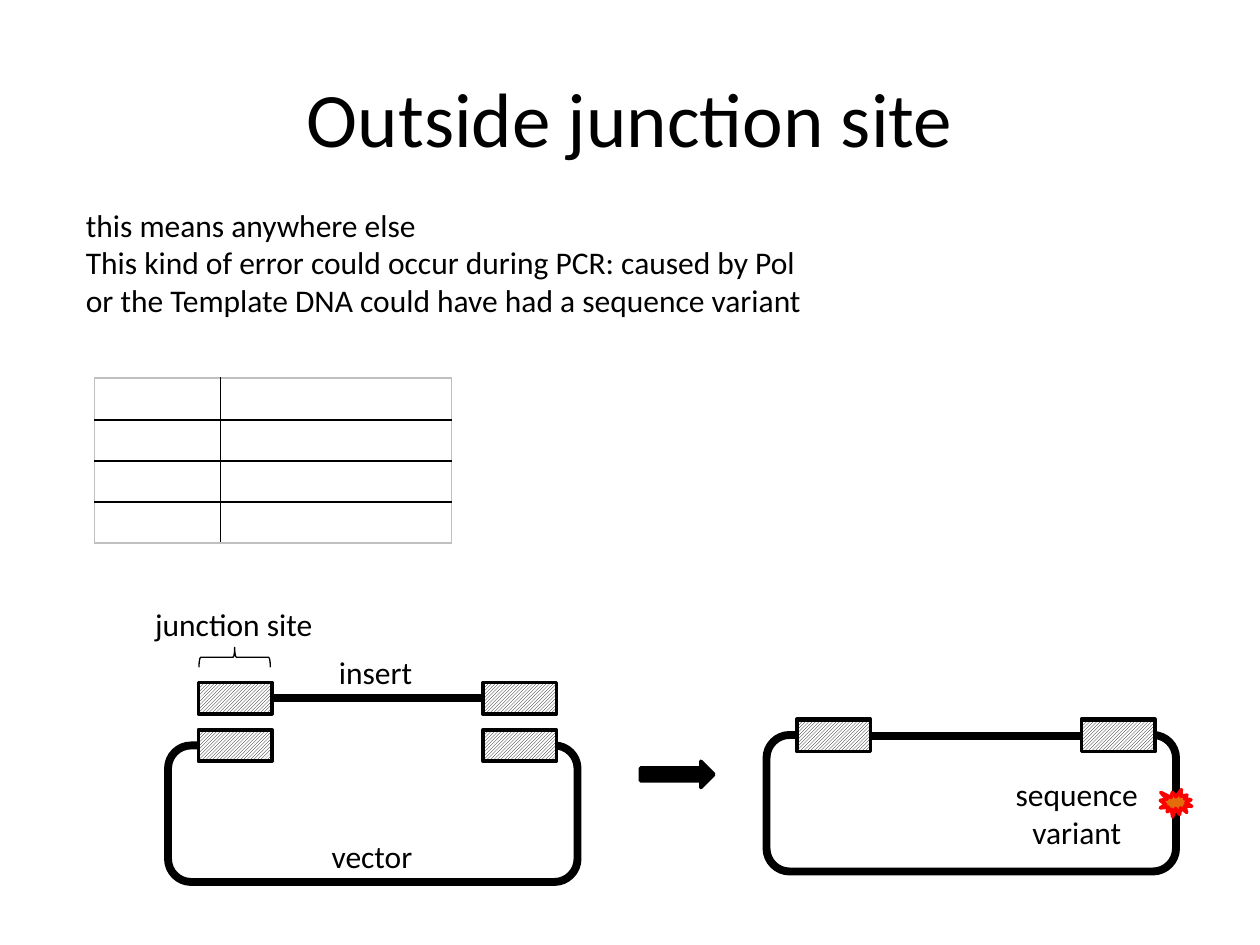
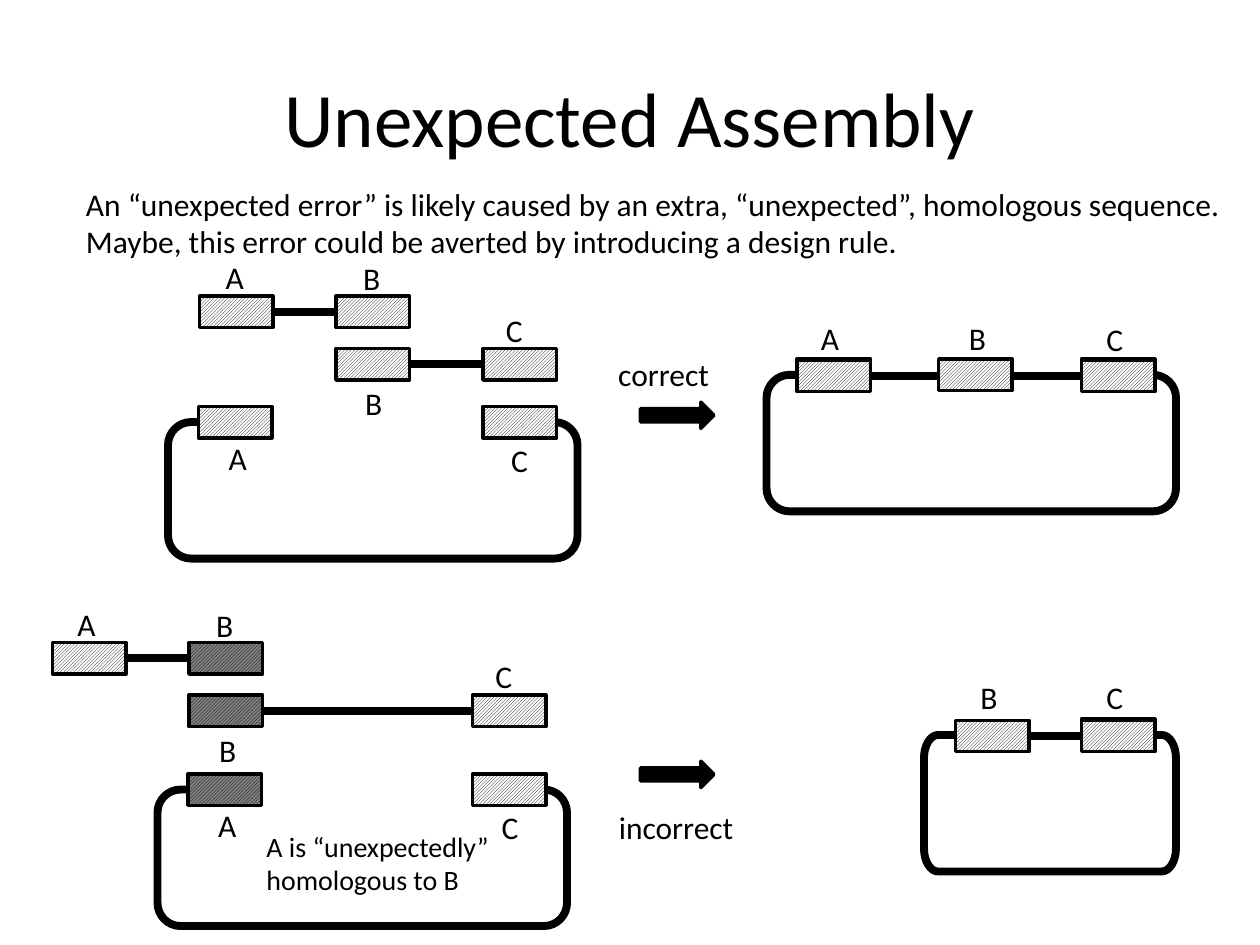
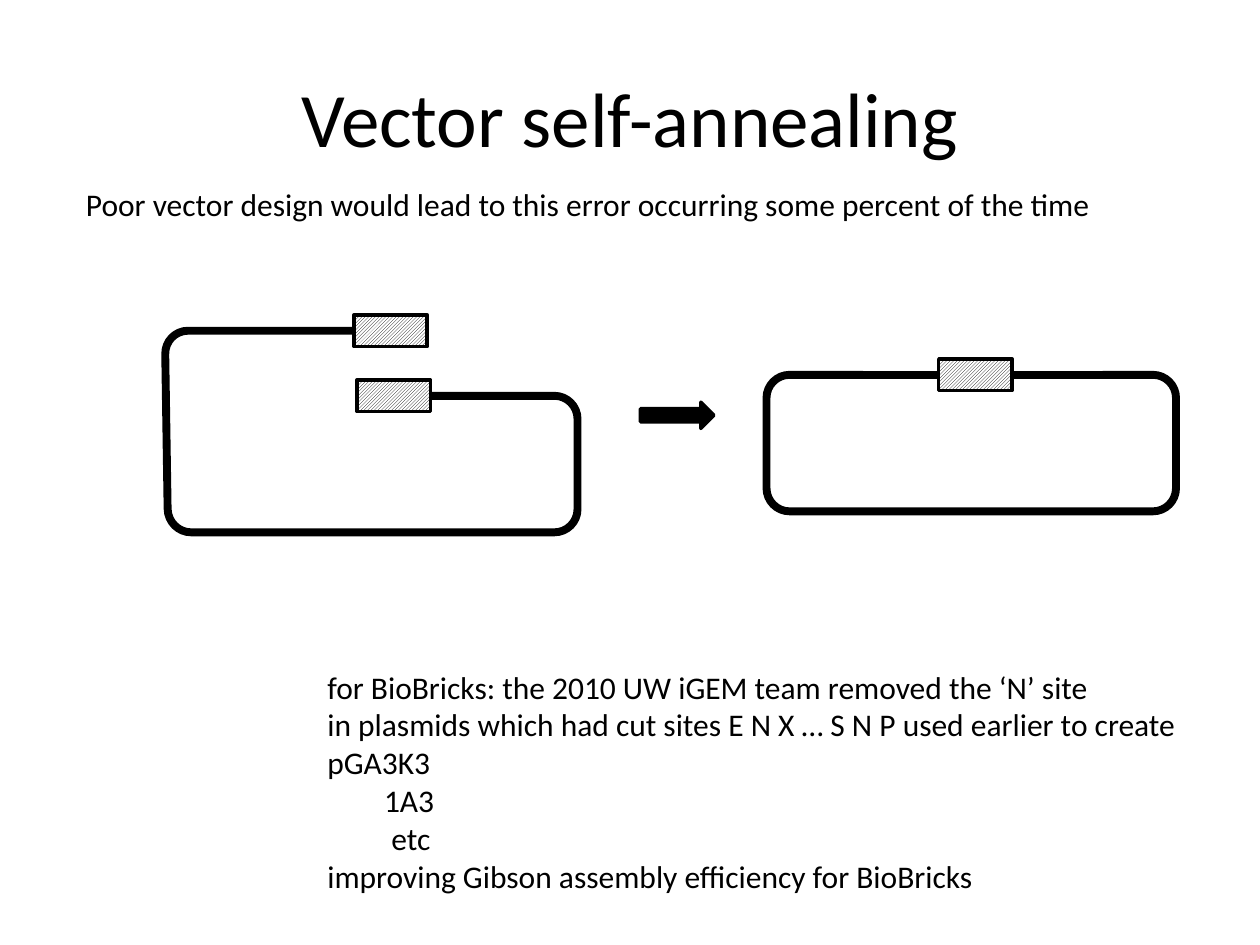
import math
from dataclasses import dataclass
from typing import Optional, Sequence

import lxml.etree
import pptx
import pptx.dml.color
import pptx.enum.dml
import pptx.enum.shapes
import pptx.enum.text
import pptx.oxml.ns
import pptx.slide
import pptx.util

PX_PER_INCH = 120
EMU_PER_PX = 914400 // PX_PER_INCH
TITLE_ONLY = 5
SITE_WIDTH, SITE_HEIGHT = 70, 30
CORNER_RADIUS = 22
ARC_PULL = 0.55  # how far Bézier handles reach towards the corner

Point = tuple[float, float]
Shapes = pptx.enum.shapes.MSO_SHAPE
Align = pptx.enum.text.PP_ALIGN


@dataclass(frozen=True)
class Theme:
    font: str = "Calibri"
    ink: str = "000000"
    paper: str = "FFFFFF"
    shaded: str = "808080"
    table_edge: str = "C0C0C0"
    variant_fill: str = "E46C0A"
    variant_line: str = "FF0000"
    title_size: int = 44
    body_size: int = 18
    note_size: int = 16
    strand_line: float = 4.5
    outline: float = 2
    thin_line: float = 0.75
    table_line: float = 1


@dataclass(frozen=True)
class Plasmid:
    """A rounded ring, open at the top where its sites sit."""
    left: int
    top: int
    width: int = 390
    height: int = 130


@dataclass(frozen=True)
class Strand:
    """Homologous sites on one level, joined by DNA or standing apart."""
    sites: tuple[int, ...]
    top: int
    joined: bool = True
    shaded: tuple[int, ...] = ()


@dataclass(frozen=True)
class Label:
    text: str
    left: int
    top: int
    width: int = 41
    align: Align = Align.LEFT


THEME = Theme()


def px(length: float) -> pptx.util.Emu:
    return pptx.util.Emu(round(length * EMU_PER_PX))


def rgb(colour: str) -> pptx.dml.color.RGBColor:
    return pptx.dml.color.RGBColor.from_string(colour)


def add_text(slide: pptx.slide.Slide, lines: Sequence[str], left: int, top: int, width: int, *,
             size: int = THEME.body_size, align: Align = Align.LEFT, wrap: bool = False,
             height: Optional[int] = None, indents: Optional[dict[int, int]] = None) -> None:
    """Add a text box; indents maps a line number to its left indent."""
    height = height or 12 + 36 * len(lines)
    frame = slide.shapes.add_textbox(px(left), px(top), px(width), px(height)).text_frame
    frame.word_wrap = wrap
    frame.auto_size = pptx.enum.text.MSO_AUTO_SIZE.SHAPE_TO_FIT_TEXT
    frame.text = "\n".join(lines)
    for number, paragraph in enumerate(frame.paragraphs):
        paragraph.alignment = align
        format_font(paragraph.runs[0].font, size)
        if indents and number in indents:
            paragraph._p.get_or_add_pPr().set("marL", str(px(indents[number])))


def format_font(font, size: int) -> None:
    font.name = THEME.font
    font.size = pptx.util.Pt(size)
    font.color.rgb = rgb(THEME.ink)


def format_line(line, width: float, colour: str = THEME.ink) -> None:
    line.width = pptx.util.Pt(width)
    line.color.rgb = rgb(colour)


def add_outlined(slide: pptx.slide.Slide, kind: Shapes, left: int, top: int, width: int,
                 height: int, *, fill: Optional[str] = None, line: str = THEME.ink,
                 line_width: float = THEME.outline):
    shape = slide.shapes.add_shape(kind, px(left), px(top), px(width), px(height))
    shape.shadow.inherit = False
    format_line(shape.line, line_width, line)
    if fill:
        shape.fill.solid()
        shape.fill.fore_color.rgb = rgb(fill)
    else:
        shape.fill.background()
    return shape


def add_site(slide: pptx.slide.Slide, left: int, top: int, shaded: bool) -> None:
    site = add_outlined(slide, Shapes.RECTANGLE, left, top, SITE_WIDTH, SITE_HEIGHT)
    site.fill.patterned()
    site.fill.pattern = pptx.enum.dml.MSO_PATTERN.LIGHT_UPWARD_DIAGONAL
    site.fill.fore_color.rgb = rgb(THEME.ink)
    site.fill.back_color.rgb = rgb(THEME.shaded if shaded else THEME.paper)


def add_dna(slide: pptx.slide.Slide, start: int, end: int, y: int) -> None:
    dna = slide.shapes.add_connector(
        pptx.enum.shapes.MSO_CONNECTOR.STRAIGHT, px(start), px(y), px(end), px(y))
    format_line(dna.line, THEME.strand_line)
    lxml.etree.SubElement(dna._element.spPr, pptx.oxml.ns.qn("a:effectLst"))


def add_strand(slide: pptx.slide.Slide, strand: Strand) -> None:
    if strand.joined:
        for start, end in zip(strand.sites, strand.sites[1:]):
            add_dna(slide, start + SITE_WIDTH, end, strand.top + SITE_HEIGHT // 2)
    for left in strand.sites:
        add_site(slide, left, strand.top, left in strand.shaded)


def step_from(corner: Point, other: Point, radius_x: float) -> Point:
    """Where the curve around a corner meets the side that leads to another vertex."""
    dx, dy = other[0] - corner[0], other[1] - corner[1]
    length = math.hypot(dx, dy)
    reach = (radius_x * abs(dx) + CORNER_RADIUS * abs(dy)) / length
    return corner[0] + dx / length * reach, corner[1] + dy / length * reach


def pull(point: Point, corner: Point) -> Point:
    return (point[0] + ARC_PULL * (corner[0] - point[0]),
            point[1] + ARC_PULL * (corner[1] - point[1]))


def add_ring(slide: pptx.slide.Slide, vertices: Sequence[Point],
             radius_x: float = CORNER_RADIUS) -> None:
    """Draw an open line through the vertices with rounded corners."""
    corners = vertices[1:-1]
    bends = [(step_from(corner, before, radius_x), step_from(corner, after, radius_x))
             for before, corner, after in zip(vertices, corners, vertices[2:])]
    points = [vertices[0], *(point for bend in bends for point in bend), vertices[-1]]
    start, *others = [(px(x), px(y)) for x, y in points]
    builder = slide.shapes.build_freeform(*start)
    builder.add_line_segments(others, close=False)
    ring = builder.convert_to_shape()
    ring.shadow.inherit = False
    ring.fill.background()
    format_line(ring.line, THEME.strand_line)

    segments = list(ring._element.iter(pptx.oxml.ns.qn("a:lnTo")))
    for segment, corner, (entry, leave) in zip(segments[1::2], corners, bends):
        segment.tag = pptx.oxml.ns.qn("a:cubicBezTo")
        for number, (x, y) in enumerate((pull(entry, corner), pull(leave, corner))):
            handle = segment.makeelement(pptx.oxml.ns.qn("a:pt"), {
                "x": str(px(x) - ring.left), "y": str(px(y) - ring.top)})
            segment.insert(number, handle)


def add_plasmid(slide: pptx.slide.Slide, plasmid: Plasmid) -> None:
    left, top = plasmid.left, plasmid.top
    right, bottom = left + plasmid.width, top + plasmid.height
    stretch = plasmid.width / Plasmid.width
    add_ring(slide, [(right - 70 * stretch, top), (right, top), (right, bottom),
                     (left, bottom), (left, top), (left + 92 * stretch, top)],
             radius_x=CORNER_RADIUS * stretch)


def add_reaction_arrow(slide: pptx.slide.Slide, top: int) -> None:
    add_outlined(slide, Shapes.RIGHT_ARROW, 610, top, 70, 25, fill=THEME.ink)


def add_cell_border(cell, side: str, colour: str) -> None:
    border = lxml.etree.SubElement(cell._tc.get_or_add_tcPr(), pptx.oxml.ns.qn(f"a:{side}"),
                                   w=str(pptx.util.Pt(THEME.table_line)))
    fill = lxml.etree.SubElement(border, pptx.oxml.ns.qn("a:solidFill"))
    lxml.etree.SubElement(fill, pptx.oxml.ns.qn("a:srgbClr"), val=colour)


def add_empty_table(slide: pptx.slide.Slide, left: int, top: int, widths: Sequence[int],
                    heights: Sequence[int]) -> None:
    table = slide.shapes.add_table(len(heights), len(widths), px(left), px(top),
                                   px(sum(widths)), px(sum(heights))).table
    table.first_row = table.horz_banding = False
    for column, width in zip(table.columns, widths):
        column.width = px(width)
    for row, height in zip(table.rows, heights):
        row.height = px(height)
    for r in range(len(heights)):
        for c in range(len(widths)):
            cell = table.cell(r, c)
            cell.margin_top, cell.margin_bottom = px(1), px(2)
            at_edge = {"lnL": c == 0, "lnR": c == len(widths) - 1,
                       "lnT": r == 0, "lnB": r == len(heights) - 1}
            for side, outer in at_edge.items():
                add_cell_border(cell, side, THEME.table_edge if outer else THEME.ink)
            cell.fill.background()


def add_titled_slide(deck, title: str) -> pptx.slide.Slide:
    slide = deck.slides.add_slide(deck.slide_layouts[TITLE_ONLY])
    heading = slide.shapes.title
    heading.left, heading.top, heading.width, heading.height = map(px, (60, 36, 1080, 150))
    frame = heading.text_frame
    frame.text = title
    frame.vertical_anchor = pptx.enum.text.MSO_ANCHOR.MIDDLE
    frame.paragraphs[0].alignment = Align.CENTER
    format_font(frame.paragraphs[0].runs[0].font, THEME.title_size)
    return slide


def add_diagram(slide: pptx.slide.Slide, plasmids: Sequence[Plasmid],
                strands: Sequence[Strand], labels: Sequence[Label]) -> None:
    for plasmid in plasmids:
        add_plasmid(slide, plasmid)
    for strand in strands:
        add_strand(slide, strand)
    for label in labels:
        add_text(slide, [label.text], label.left, label.top, label.width, align=label.align)


def build_outside_junction(deck) -> None:
    slide = add_titled_slide(deck, "Outside junction site")
    add_text(slide, ["this means anywhere else",
                     "This kind of error could occur during PCR: caused by Pol",
                     "or the Template DNA could have had a sequence variant"], 70, 190, 708)
    add_empty_table(slide, 90, 360, widths=(120, 220), heights=(40, 30, 30, 30))
    add_diagram(
        slide,
        [Plasmid(160, 710), Plasmid(730, 700)],
        [Strand((189, 460), 695, joined=False), Strand((189, 460), 650),
         Strand((759, 1030), 685, joined=False), Strand((759, 1030), 686)],
        [Label("vector", 304, 791, 102), Label("insert", 311, 616, 95),
         Label("junction site", 136, 570, 175)])
    add_reaction_arrow(slide, 725)
    brace = add_outlined(slide, Shapes.RIGHT_BRACE, 214, 592, 19, 68,
                         line_width=THEME.thin_line)
    brace.rotation = 270
    add_outlined(slide, Shapes.EXPLOSION1, 1105, 752, 30, 26,
                 fill=THEME.variant_fill, line=THEME.variant_line)
    add_text(slide, ["sequence", "variant"], 954, 732, 143, align=Align.CENTER)


def build_unexpected_assembly(deck) -> None:
    slide = add_titled_slide(deck, "Unexpected Assembly")
    add_text(slide, ["An “unexpected error” is likely caused by an extra, “unexpected”, "
                     "homologous sequence.",
                     "Maybe, this error could be averted by introducing a design rule."],
             70, 170, 1124)
    add_diagram(
        slide,
        [Plasmid(160, 402), Plasmid(730, 357)],
        [Strand((189, 460), 387, joined=False), Strand((320, 460), 332),
         Strand((759, 1030), 342, joined=False), Strand((759, 1030), 343),
         Strand((190, 320), 282), Strand((894,), 342)],
        [Label("A", 203, 240), Label("B", 334, 241), Label("C", 470, 290),
         Label("B", 336, 360), Label("A", 206, 412), Label("C", 475, 414),
         Label("A", 770, 298), Label("B", 911, 298), Label("C", 1042, 299),
         Label("correct", 577, 332, 112)])
    add_reaction_arrow(slide, 383)
    add_diagram(
        slide,
        [Plasmid(150, 752), Plasmid(880, 700, width=240)],
        [Strand((179, 450), 737, joined=False, shaded=(179,)),
         Strand((180, 450), 662, shaded=(180,)), Strand((50, 180), 612, shaded=(180,)),
         Strand((1030,), 685), Strand((910, 1030), 686)],
        [Label("A", 62, 570), Label("B", 194, 571), Label("C", 460, 620),
         Label("B", 197, 690), Label("A", 196, 762), Label("C", 466, 764),
         Label("B", 922, 640), Label("C", 1042, 640),
         Label("incorrect", 577, 764, 134, Align.CENTER)])
    add_reaction_arrow(slide, 725)
    add_text(slide, ["A is “unexpectedly” homologous to B"], 242, 784, 253,
             size=THEME.note_size, wrap=True, height=77)


def build_self_annealing(deck) -> None:
    slide = add_titled_slide(deck, "Vector self-annealing")
    add_text(slide, ["Poor vector design would lead to this error occurring "
                     "some percent of the time"], 70, 170, 992)
    add_ring(slide, [(358, 377), (550, 377), (550, 507), (160, 507), (157, 315), (402, 315)])
    add_plasmid(slide, Plasmid(730, 357))
    add_dna(slide, 822, 1050, 357)
    for left, top in ((337, 300), (340, 362), (894, 342)):
        add_site(slide, left, top, shaded=False)
    add_reaction_arrow(slide, 383)
    add_text(slide, ["for BioBricks: the 2010 UW iGEM team removed the ‘N’ site",
                     "in plasmids which had cut sites E N X … S N P used earlier to create",
                     "pGA3K3", "1A3", "etc",
                     "improving Gibson assembly efficiency for BioBricks"],
             300, 630, 850, indents={3: 54, 4: 61})


def main() -> None:
    deck = pptx.Presentation()
    deck.slide_width, deck.slide_height = px(1200), px(900)
    build_outside_junction(deck)
    build_unexpected_assembly(deck)
    build_self_annealing(deck)
    deck.save("out.pptx")


if __name__ == "__main__":
    main()
